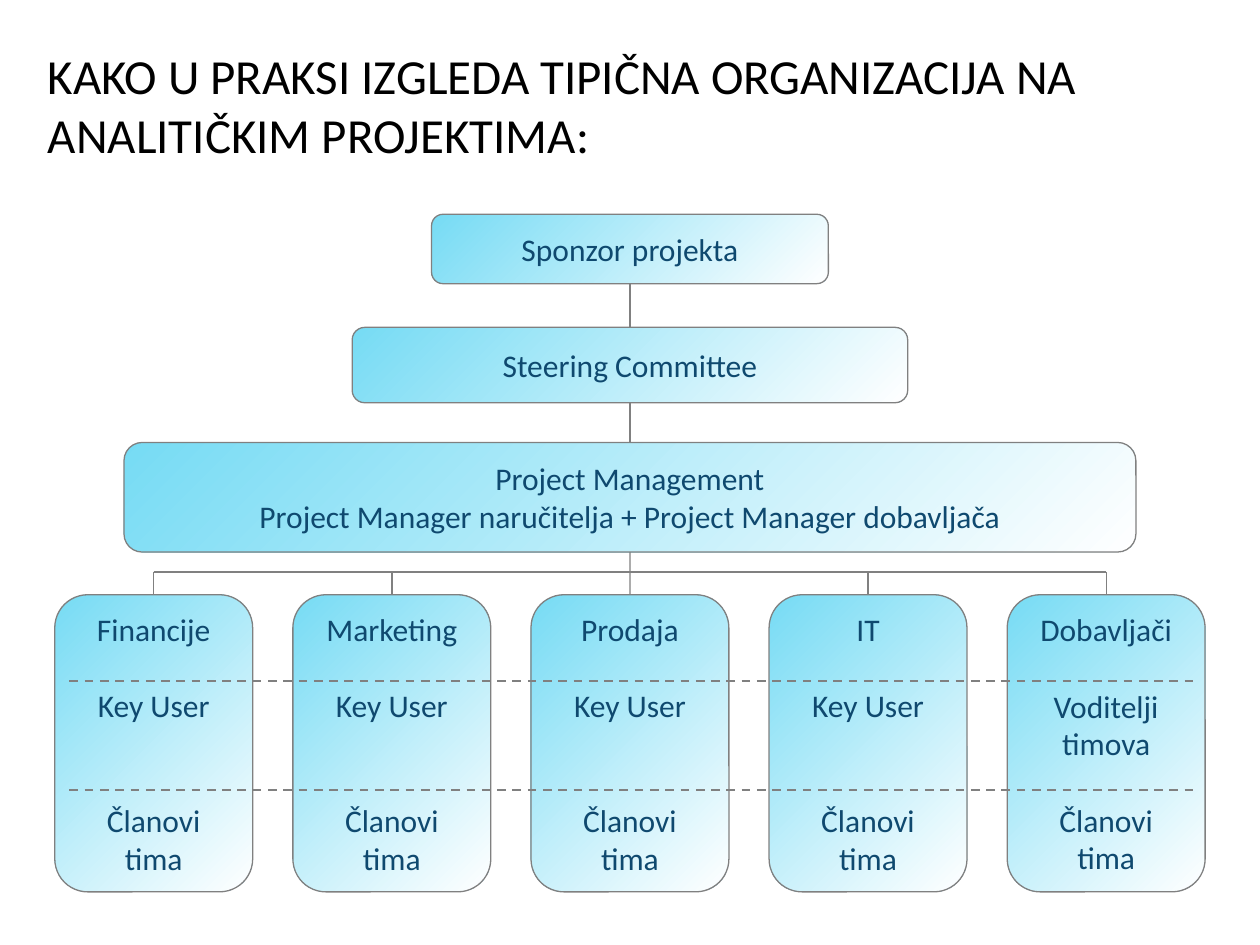
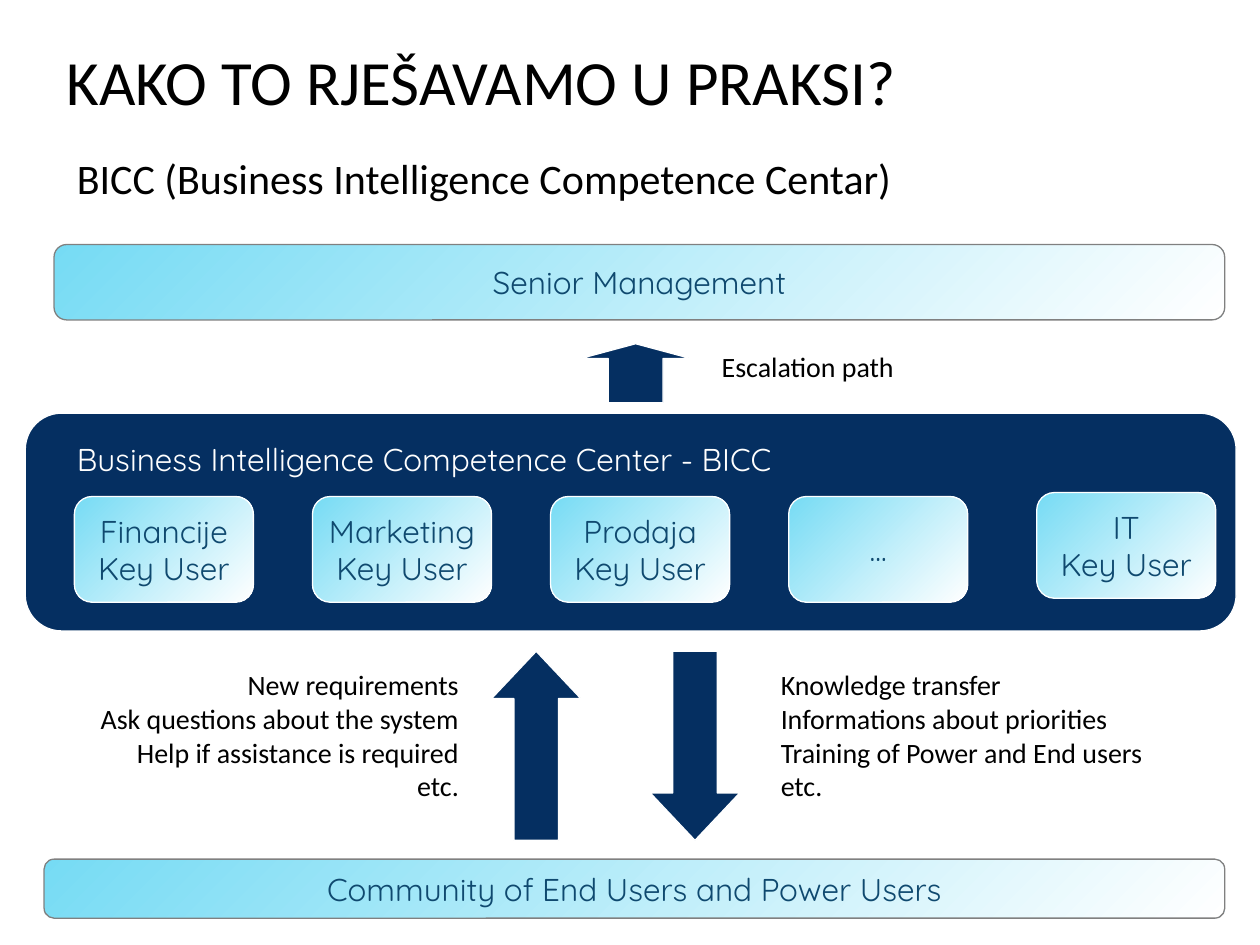
from pptx import Presentation
from pptx.dml.color import RGBColor
from pptx.enum.dml import MSO_LINE
from pptx.enum.shapes import MSO_CONNECTOR, MSO_SHAPE
from pptx.enum.text import MSO_ANCHOR, MSO_AUTO_SIZE, PP_ALIGN
from pptx.oxml.ns import qn
from pptx.util import Cm, Pt

ROUND, ARROW = MSO_SHAPE.ROUNDED_RECTANGLE, MSO_SHAPE.UP_ARROW
STRAIGHT, DASH = MSO_CONNECTOR.STRAIGHT, MSO_LINE.DASH
LEFT, MID, RIGHT = PP_ALIGN.LEFT, PP_ALIGN.CENTER, PP_ALIGN.RIGHT
TOP, CENTER = MSO_ANCHOR.TOP, MSO_ANCHOR.MIDDLE
NO_FIT = MSO_AUTO_SIZE.NONE

COLORS = {"sky": "76DBF4", "white": "FFFFFF", "gray": "808080",
          "navy": "052F61", "ink": "0F496F", "black": "000000"}
BODY, BRAND = "Calibri", "Quicksand"
WIDTH, HEIGHT = 25.4, 19.05
MIDDLE = WIDTH / 2
PITCH = 4.8      # step between neighbouring columns, both slides
LINE = 22        # height of one 18 pt text line, in points

# Slide 1: lengths in cm
ORG_TITLE = "KAKO U PRAKSI IZGLEDA TIPIČNA ORGANIZACIJA NA ANALITIČKIM PROJEKTIMA:"
LEVELS = [  # top, width, height, lines
    (4.32, 8.0, 1.4, ["Sponzor projekta"]),
    (6.6, 11.2, 1.52, ["Steering Committee"]),
    (8.92, 20.4, 2.21, ["Project Management",
                        "Project Manager naručitelja + Project Manager dobavljača"]),
]
TEAMS = [("Financije", ["Key User"]), ("Marketing", ["Key User"]),
         ("Prodaja", ["Key User"]), ("IT", ["Key User"]),
         ("Dobavljači", ["Voditelji", "timova"])]
MEMBERS = ["Članovi", "tima"]
TEAM_TOP, TEAM_W, TEAM_H = 11.99, 3.99, 5.99
BUS = 11.53
RULES = [13.72, 15.93]

# Slide 2
BICC_TITLE = "KAKO TO RJEŠAVAMO U PRAKSI?"
SUBTITLE = "BICC (Business Intelligence Competence Centar)"
BARS = [((1.09, 4.93, 23.6, 1.52), "Senior Management"),
        ((0.89, 17.32, 23.8, 1.19), "Community of End Users and Power Users")]
BAND = (0.51, 8.33, 24.41, 4.39)
BAND_NAME = "Business Intelligence Competence Center - BICC"
USERS = [["Financije", "Key User"], ["Marketing", "Key User"],
         ["Prodaja", "Key User"], ["..."]]
USER_LEFT, USER_TOP, USER_W, USER_H = 1.5, 10.01, 3.61, 2.13
IT_USER = ["IT", "Key User"]
IT_AT = (20.9, 9.93)
ARROWS = [  # place, head length, turn
    ((11.71, 6.93, 2.21, 1.19), 0.25, 0),
    ((9.91, 13.13, 1.8, 3.81), 0.53, 0),
    ((13.11, 13.13, 1.8, 3.81), 0.53, 180),
]
NOTES = [
    ((14.3, 6.93, 9.4, 0.94), LEFT, ["Escalation path"]),
    ((0.89, 13.34, 8.61, 3.0), RIGHT,
     ["New requirements", "Ask questions about the system",
      "Help if assistance is required", "etc."]),
    ((15.49, 13.34, 9.4, 3.0), LEFT,
     ["Knowledge transfer", "Informations about priorities",
      "Training of Power and End users", "etc."]),
]


def rgb(name):
    return RGBColor.from_string(COLORS[name])


def cms(place):
    return [Cm(v) for v in place]


def write(frame, lines, size, color, font=BODY, align=LEFT, anchor=CENTER, gaps=None):
    """Fill a frame, one paragraph a line; gaps maps line index to space before."""
    frame.vertical_anchor = anchor
    for i, line in enumerate(lines):
        par = frame.paragraphs[0] if i == 0 else frame.add_paragraph()
        par.alignment = align
        par.space_before = Pt((gaps or {}).get(i, 0))
        run = par.add_run()
        run.text = line
        run.font.name, run.font.size = font, Pt(size)
        run.font.color.rgb = rgb(color)


def add_title(slide, place, text, size):
    title = slide.shapes.title
    title.left, title.top, title.width, title.height = cms(place)
    title.text_frame.auto_size = NO_FIT
    write(title.text_frame, [text], size, "black")


def add_text(slide, place, lines, size, color="black", **style):
    box = slide.shapes.add_textbox(*cms(place))
    box.text_frame.word_wrap = True
    write(box.text_frame, lines, size, color, **style)


def add_solid(slide, kind, place, edge="white", fill="navy"):
    shape = slide.shapes.add_shape(kind, *cms(place))
    shape.shadow.inherit = False
    shape.fill.solid()
    shape.fill.fore_color.rgb = rgb(fill)
    shape.line.color.rgb = rgb(edge)
    shape.line.width = Pt(0.75)
    return shape


def add_card(slide, place, lines, font=BODY, edge="gray", gaps=None):
    """Rounded box that fades from sky to white."""
    card = add_solid(slide, ROUND, place, edge)
    card.fill.gradient()
    card.fill.gradient_angle = 315
    for stop, name in zip(card.fill.gradient_stops, ("sky", "white")):
        stop.color.rgb = rgb(name)
    card.text_frame.word_wrap = False
    write(card.text_frame, lines, 18, "ink", font, MID, gaps=gaps)
    return card


def add_line(slide, x1, y1, x2, y2, upper=None, lower=None, width=0.75, dash=None):
    """Line that may start under the upper box and end on top of the lower one."""
    line = slide.shapes.add_connector(STRAIGHT, *cms((x1, y1, x2, y2)))
    line.line.color.rgb = rgb("gray")
    line.line.width = Pt(width)
    if dash:
        line.line.dash_style = dash
    props = line._element.spPr
    props.append(props.makeelement(qn("a:effectLst"), {}))
    if upper:
        line.begin_connect(upper, 2)
    if lower:
        line.end_connect(lower, 0)


def build_org(slide):
    add_title(slide, (0.71, 0.51, 24.21, 3.2), ORG_TITLE, 28)
    above, end = None, 0
    for top, width, height, lines in LEVELS:
        card = add_card(slide, (MIDDLE - width / 2, top, width, height), lines)
        if above:
            add_line(slide, MIDDLE, end, MIDDLE, top, above, card)
        above, end = card, top + height
    add_line(slide, MIDDLE, end, MIDDLE, BUS, above)

    mids = [MIDDLE + (i - 2) * PITCH for i in range(len(TEAMS))]
    add_line(slide, mids[0], BUS, mids[-1], BUS)
    for mid, (name, role) in zip(mids, TEAMS):
        gaps = {1: LINE, 1 + len(role): LINE * (3 - len(role))}
        card = add_card(slide, (mid - TEAM_W / 2, TEAM_TOP, TEAM_W, TEAM_H),
                        [name, *role, *MEMBERS], gaps=gaps)
        add_line(slide, mid, BUS, mid, TEAM_TOP, lower=card)
    for y in RULES:
        add_line(slide, 1.4, y, 24.1, y, width=1.25, dash=DASH)


def build_bicc(slide):
    add_title(slide, (1.09, 0.53, 22.86, 2.16), BICC_TITLE, 36)
    add_text(slide, (1.3, 2.69, 22.86, 1.8), [SUBTITLE], 24)
    for place, name in BARS:
        add_card(slide, place, [name], BRAND)

    add_solid(slide, ROUND, BAND)
    add_text(slide, (1.3, 8.74, 19.81, 1.02), [BAND_NAME], 18, "white",
             font=BRAND, anchor=TOP)
    spots = [(USER_LEFT + i * PITCH, USER_TOP) for i in range(len(USERS))]
    for spot, lines in zip(spots + [IT_AT], USERS + [IT_USER]):
        add_card(slide, (*spot, USER_W, USER_H), lines, BRAND, "white")

    for place, head, turn in ARROWS:
        arrow = add_solid(slide, ARROW, place)
        arrow.adjustments[1] = head
        arrow.rotation = turn
    for place, align, lines in NOTES:
        add_text(slide, place, lines, 16, align=align, anchor=TOP)


def main():
    deck = Presentation()
    deck.slide_width, deck.slide_height = Cm(WIDTH), Cm(HEIGHT)
    for build in (build_org, build_bicc):
        slide = deck.slides.add_slide(deck.slide_layouts[5])
        build(slide)
    deck.save("out.pptx")


if __name__ == "__main__":
    main()
